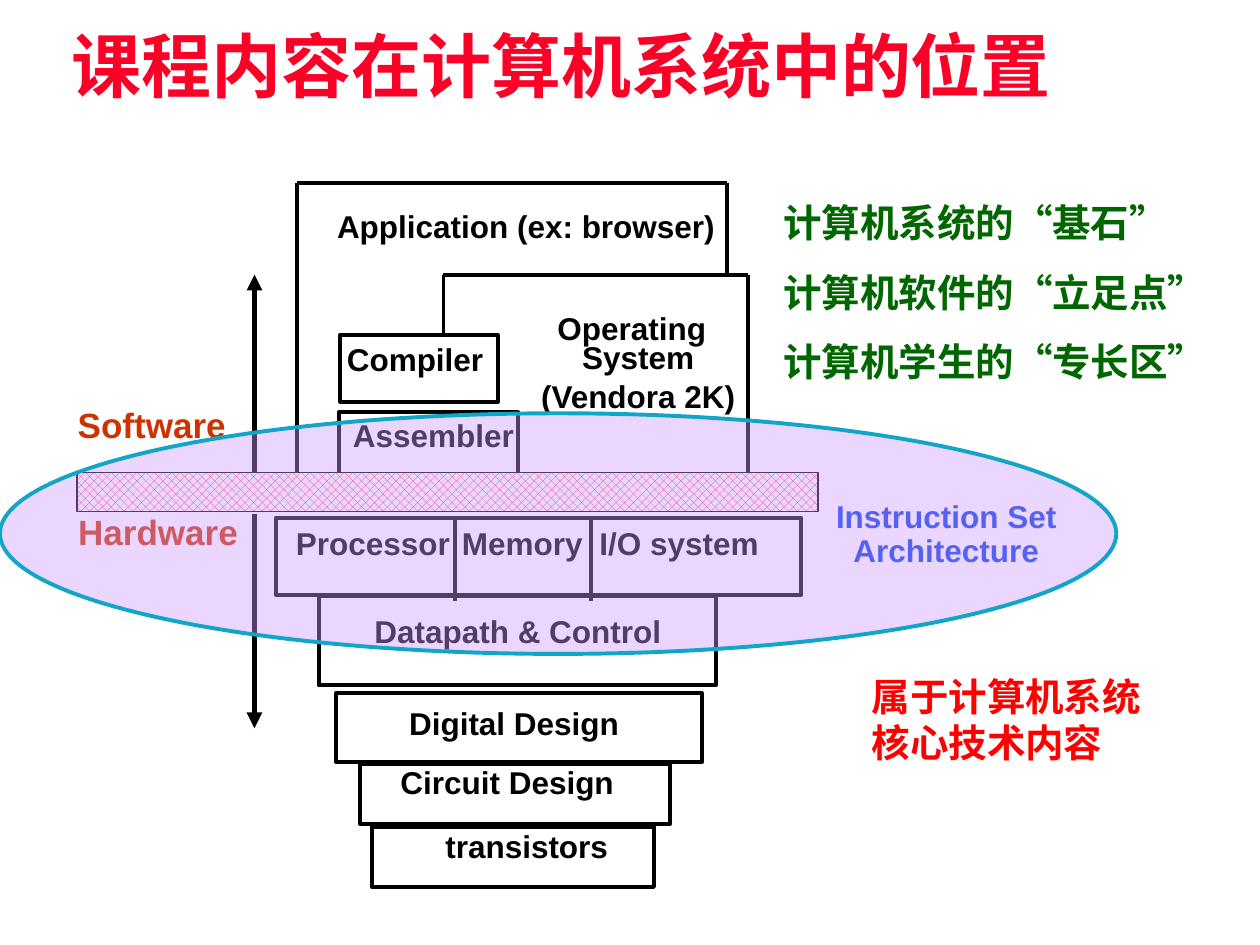
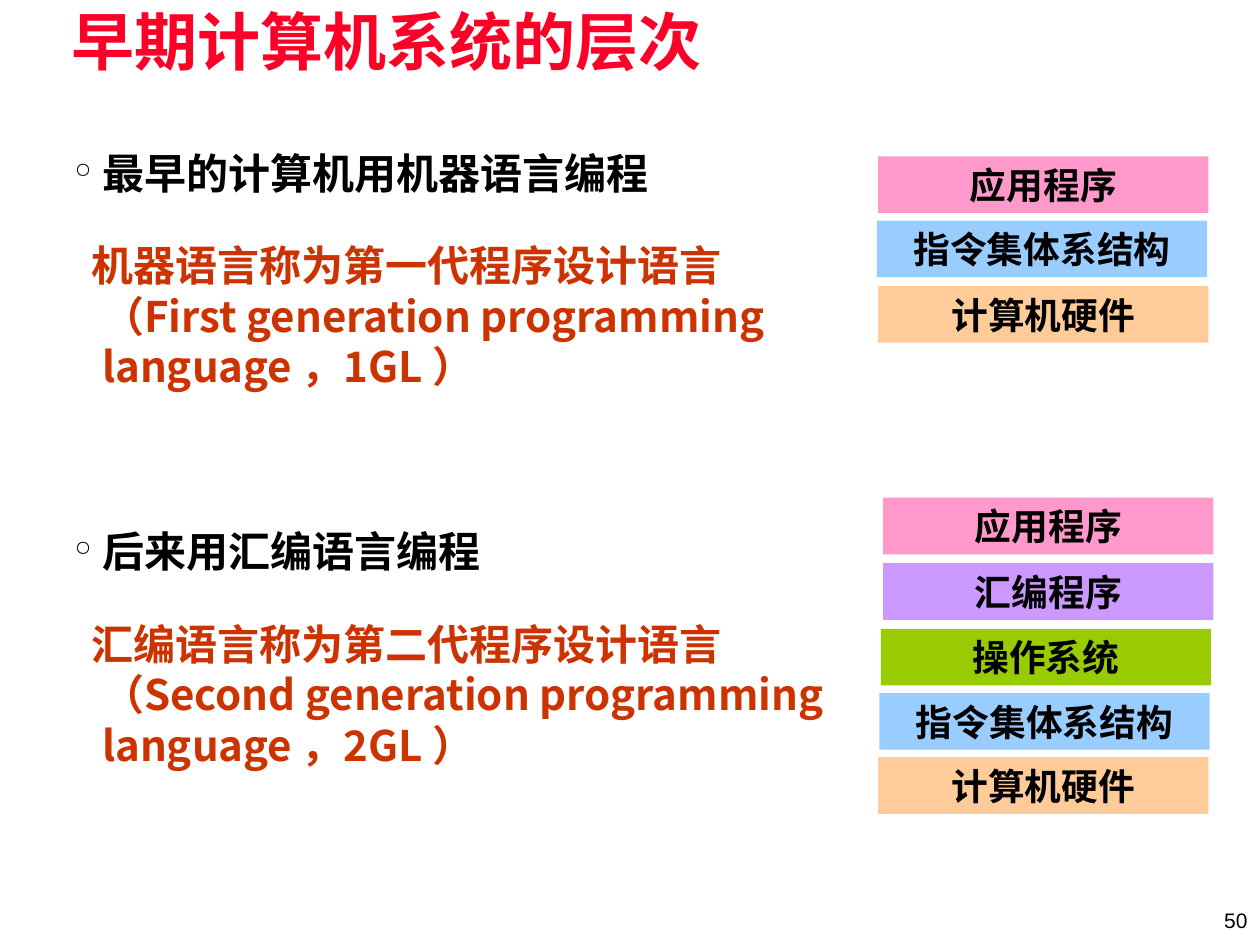
"""Build two slides on the layers of a computer system."""
from typing import NamedTuple

from lxml import etree
from pptx import Presentation
from pptx import util as u
from pptx.dml.color import RGBColor
from pptx.enum import dml, shapes, text
from pptx.oxml import ns

HUES = {
    "title": "FC0128", "ink": "000000", "paper": "FFFFFF", "rust": "CC3300",
    "isa": "063DE8", "green": "006600", "red": "FF0000", "rim": "12A5C8",
    "pink": "FF99CC", "blue": "99CCFF", "peach": "FFCC99", "violet": "CC99FF",
    "lime": "99CC00",
}
HAN = "Noto Sans CJK SC"
LEFT, MID, RIGHT = text.PP_ALIGN.LEFT, text.PP_ALIGN.CENTER, text.PP_ALIGN.RIGHT
TOP, CORE = text.MSO_ANCHOR.TOP, text.MSO_ANCHOR.MIDDLE
RECT, OVAL = shapes.MSO_SHAPE.RECTANGLE, shapes.MSO_SHAPE.OVAL


class Area(NamedTuple):
    """Place and size in inches."""
    left: float
    top: float
    width: float
    height: float


class Look(NamedTuple):
    """Style of a block of text."""
    size: float = 18
    hue: str = "ink"
    face: str = "Arial"
    bold: bool = True
    align: int = MID
    lead: float = 1.0
    pad: tuple = (0.1, 0.05)
    wrap: bool = False
    hold: int = TOP


class Label(NamedTuple):
    """Lines of text at a place."""
    area: Area
    lines: tuple
    look: Look


class Line(NamedTuple):
    """Straight line with an optional arrowhead."""
    start: tuple
    end: tuple
    width: float = 2.25
    arrow: bool = False


class Layer(NamedTuple):
    """Coloured bar in a stack of system layers."""
    left: float
    top: float
    hue: str
    name: str


class Point(NamedTuple):
    """Paragraph of the body text."""
    words: str
    hue: str
    first: float
    gap: float
    mark: bool = False


TAG = Look(lead=1.02, pad=(0.07, 0.03))
SIDE = Look(size=20, hue="rust")
BAR = Look(size=21, face="Times New Roman", wrap=True, hold=CORE)
BODY = Look(size=24, face=HAN, align=LEFT, pad=(0.07, 0.03), wrap=True)

LABELS = (
    Label(Area(2.59, 1.61, 3.17, 0.35), ("Application (ex: browser)",), TAG),
    Label(Area(4.35, 2.42, 1.33, 0.35), ("Operating",), TAG),
    Label(Area(4.17, 2.65, 1.79, 0.67), ("System", "(Vendora 2K)"), TAG),
    Label(Area(2.68, 2.66, 1.23, 0.35), ("Compiler",), TAG),
    Label(Area(2.69, 3.27, 1.5, 0.36), ("Assembler",), TAG),
    Label(Area(2.27, 4.12, 1.38, 0.35), ("Processor",), TAG),
    Label(Area(3.59, 4.12, 1.11, 0.35), ("Memory",), TAG),
    Label(Area(4.68, 4.12, 1.42, 0.35), ("I/O system",), TAG),
    Label(Area(2.84, 4.81, 2.54, 0.4), ("Datapath & Control",), Look()),
    Label(Area(3.17, 5.55, 1.82, 0.35), ("Digital Design",), TAG),
    Label(Area(3.1, 6.02, 1.85, 0.35), ("Circuit Design",), TAG),
    Label(Area(3.27, 6.51, 1.82, 0.41), ("transistors",), Look(lead=1.02)),
    Label(Area(0.52, 3.15, 1.37, 0.43), ("Software",), SIDE),
    Label(Area(0.52, 4, 1.47, 0.44), ("Hardware",), SIDE),
    Label(Area(6.14, 3.94, 2.74, 0.62), ("Instruction Set", "Architecture"),
          TAG._replace(hue="isa", lead=0.92)),
)
NOTES = (
    Label(Area(6.12, 1.35, 3.61, 1.77),
          ("计算机系统的“基石”", "计算机软件的“立足点”", "计算机学生的“专长区”"),
          Look(size=22, hue="green", face=HAN, align=LEFT, lead=1.5, wrap=True)),
    Label(Area(6.82, 5.29, 2.48, 0.83), ("属于计算机系统核心技术内容",),
          Look(size=22, hue="red", align=LEFT, wrap=True)),
)
FRAMES = (
    Area(2.7, 2.66, 1.25, 0.53), Area(2.69, 3.27, 1.42, 0.53),
    Area(2.19, 4.11, 4.17, 0.61), Area(2.53, 4.73, 3.15, 0.71),
    Area(2.67, 5.5, 2.9, 0.55), Area(2.86, 6.06, 2.46, 0.48),
    Area(2.95, 6.56, 2.24, 0.48),
)
LINES = (
    Line((2.36, 3.75), (2.36, 1.45)), Line((2.36, 1.45), (5.77, 1.45)),
    Line((5.77, 1.45), (5.77, 2.18)), Line((3.52, 2.66), (3.52, 2.18)),
    Line((3.52, 2.18), (5.94, 2.18)), Line((5.94, 2.18), (5.94, 3.86)),
    Line((3.61, 4.12), (3.61, 4.77)), Line((4.69, 4.12), (4.69, 4.77)),
    Line((2.02, 3.75), (2.02, 2.18), 3, True),
    Line((2.02, 4.08), (2.02, 5.78), 3, True),
)
LAYERS = (
    Layer(6.97, 1.24, "pink", "应用程序"),
    Layer(6.96, 1.75, "blue", "指令集体系结构"),
    Layer(6.97, 2.27, "peach", "计算机硬件"),
    Layer(7.01, 3.95, "pink", "应用程序"),
    Layer(7.01, 4.47, "violet", "汇编程序"),
    Layer(6.99, 4.99, "lime", "操作系统"),
    Layer(6.98, 5.5, "blue", "指令集体系结构"),
    Layer(6.97, 6.01, "peach", "计算机硬件"),
)
POINTS = (
    Point("最早的计算机用机器语言编程", "ink", -0.22, 0, True),
    Point("机器语言称为第一代程序设计语言（First generation programming language ，1GL ）",
          "rust", -0.08, 24),
    Point("后来用汇编语言编程", "ink", -0.22, 77, True),
    Point("汇编语言称为第二代程序设计语言（Second generation programming language ，2GL ）",
          "rust", -0.08, 24),
)


def tint(hue: str) -> RGBColor:
    """Return the named colour."""
    return RGBColor.from_string(HUES[hue])


def apply(item, values: dict) -> None:
    """Set each named value on an item."""
    for name, value in values.items():
        setattr(item, name, value)


def add(parent, tag: str, **values: str):
    """Append an element with its attributes."""
    return etree.SubElement(parent, ns.qn(tag), values)


def place(area: Area) -> list:
    """Turn an area into lengths."""
    return [u.Inches(side) for side in area]


def style(para, look: Look) -> None:
    """Format a paragraph and its runs."""
    apply(para, {"alignment": look.align, "line_spacing": look.lead})
    for run in para.runs:
        apply(run.font, {"size": u.Pt(look.size), "bold": look.bold, "name": look.face})
        run.font.color.rgb = tint(look.hue)
        add(run.font._element, "a:ea", typeface=HAN)


def fill(frame, lines: tuple, look: Look) -> None:
    """Write styled lines into a text frame."""
    wide, high = map(u.Inches, look.pad)
    apply(frame, {"margin_left": wide, "margin_right": wide, "margin_top": high,
                  "margin_bottom": high, "word_wrap": look.wrap,
                  "vertical_anchor": look.hold, "auto_size": text.MSO_AUTO_SIZE.NONE})
    for rank, words in enumerate(lines):
        para = frame.add_paragraph() if rank else frame.paragraphs[0]
        para.add_run().text = words
        style(para, look)


def write(slide, label: Label):
    """Add a text box and return its frame."""
    frame = slide.shapes.add_textbox(*place(label.area)).text_frame
    fill(frame, label.lines, label.look)
    return frame


def start(deck, words: str, area: Area, size: float):
    """Add a slide with its title."""
    slide = deck.slides.add_slide(deck.slide_layouts[5])
    title = slide.shapes.title
    apply(title, dict(zip(("left", "top", "width", "height"), place(area))))
    fill(title.text_frame, (words,),
         Look(size, "title", align=LEFT, lead=0.87, pad=(0.07, 0.03),
              wrap=True, hold=CORE))
    return slide


def shape(slide, kind: int, area: Area, rim: str = "", width: float = 2.25):
    """Add an unfilled shape with an optional outline."""
    form = slide.shapes.add_shape(kind, *place(area))
    form.shadow.inherit = False
    form.fill.background()
    if rim:
        form.line.color.rgb = tint(rim)
        form.line.width = u.Pt(width)
    else:
        form.line.fill.background()
    return form


def draw(slide, line: Line) -> None:
    """Add a line or an arrow."""
    ends = [u.Inches(side) for side in line.start + line.end]
    link = slide.shapes.add_connector(shapes.MSO_CONNECTOR.STRAIGHT, *ends)
    link.line.color.rgb = tint("ink")
    link.line.width = u.Pt(line.width)
    if line.arrow:
        add(link.line._get_or_add_ln(), "a:tailEnd", type="triangle")
    add(link._element.spPr, "a:effectLst")


def map_slide(deck) -> None:
    """Build the map of the course within the system."""
    slide = start(deck, "课程内容在计算机系统中的位置", Area(0.5, 0.24, 9, 0.64), 40)
    for area in FRAMES:
        shape(slide, RECT, area, "ink")
    for line in LINES:
        draw(slide, line)
    for label in LABELS:
        write(slide, label)
    band = shape(slide, RECT, Area(0.61, 3.75, 5.88, 0.31), "ink", 1)
    band.fill.patterned()
    band.fill.pattern = dml.MSO_PATTERN.PERCENT_50
    band.fill.fore_color.rgb = tint("title")
    band.fill.back_color.rgb = tint("paper")
    zone = shape(slide, OVAL, Area(0, 3.28, 8.86, 1.91), "rim")
    zone.fill.solid()
    zone.fill.fore_color.rgb = tint("violet")
    add(zone._element.spPr.find(".//" + ns.qn("a:srgbClr")), "a:alpha", val="40000")
    for note in NOTES:
        write(slide, note)


def stack_slide(deck) -> None:
    """Build the slide on early system layers."""
    slide = start(deck, "早期计算机系统的层次", Area(0.5, 0.06, 9, 0.61), 36)
    lines = tuple(point.words for point in POINTS)
    frame = write(slide, Label(Area(0.52, 1.14, 6.16, 6.11), lines, BODY))
    for para, point in zip(frame.paragraphs, POINTS):
        props = para._p.get_or_add_pPr()
        props.set("marL", str(u.Inches(0.22)))
        props.set("indent", str(u.Inches(point.first)))
        if point.mark:
            add(props, "a:buChar", char="°")
        para.space_before = u.Pt(point.gap)
        para.runs[0].font.color.rgb = tint(point.hue)
    for layer in LAYERS:
        bar = shape(slide, RECT, Area(layer.left, layer.top, 2.62, 0.45))
        bar.fill.solid()
        bar.fill.fore_color.rgb = tint(layer.hue)
        fill(bar.text_frame, (layer.name,), BAR)
    write(slide, Label(Area(7.75, 7.1, 2.25, 0.4), ("50",),
                       Look(size=12, bold=False, align=RIGHT, wrap=True, hold=CORE)))


def main() -> None:
    """Build and save the deck."""
    deck = Presentation()
    apply(deck, {"slide_width": u.Inches(10), "slide_height": u.Inches(7.5)})
    map_slide(deck)
    stack_slide(deck)
    deck.save("out.pptx")


if __name__ == "__main__":
    main()
